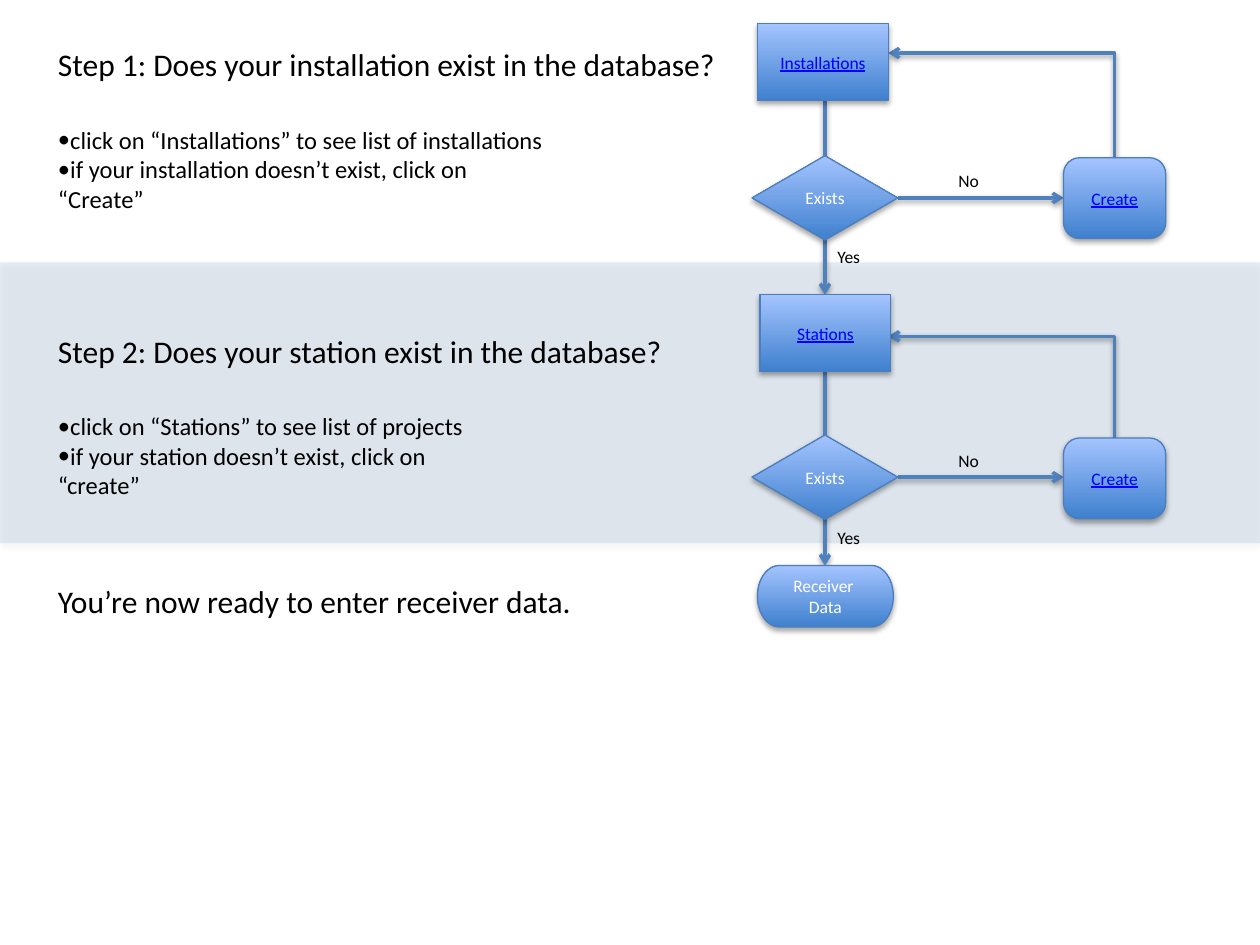
from dataclasses import dataclass

from lxml import etree
from pptx import Presentation
from pptx.dml.color import RGBColor
from pptx.enum.shapes import MSO_CONNECTOR, MSO_SHAPE
from pptx.enum.text import MSO_ANCHOR, MSO_AUTO_SIZE, PP_ALIGN
from pptx.oxml.ns import qn
from pptx.util import Cm, Pt

RECTANGLE = MSO_SHAPE.RECTANGLE
ROUNDED = MSO_SHAPE.ROUNDED_RECTANGLE
DECISION = MSO_SHAPE.FLOWCHART_DECISION
TERMINATOR = MSO_SHAPE.FLOWCHART_TERMINATOR
STRAIGHT = MSO_CONNECTOR.STRAIGHT
ELBOW = MSO_CONNECTOR.ELBOW
LEFT, CENTER = PP_ALIGN.LEFT, PP_ALIGN.CENTER
TOP, MIDDLE = MSO_ANCHOR.TOP, MSO_ANCHOR.MIDDLE
FIT_SHAPE = MSO_AUTO_SIZE.SHAPE_TO_FIT_TEXT


@dataclass(frozen=True)
class Theme:
    font: str = "Calibri"
    heading_size: int = 18
    body_size: int = 14
    label_size: int = 10
    text: str = "000000"
    light_text: str = "FFFFFF"
    link: str = "0000FF"
    accent: str = "4F81BD"
    outline: str = "4B7EBC"
    gradient: tuple = ("3F80CE", "A4C4FF")


@dataclass(frozen=True)
class Step:
    heading: str
    heading_width: float
    heading_top: float
    bullets: tuple
    bullets_width: float
    bullets_top: float
    box_text: str
    box_left: float
    box_top: float
    loop_y: float
    decision_top: float
    create_top: float
    next_top: float
    no_top: float
    yes_top: float


STEPS = (
    Step("Step 1: Does your installation exist in the database?", 13.89, 0.79,
         ("click on “Installations” to see list of installations",
          "if your installation doesn’t exist, click on “Create”"), 10.59, 2.39,
         "Installations", 15.27, 0.48, 1.07, 3.14, 3.18, 5.94, 3.3, 4.84),
    Step("Step 2: Does your station exist in the database?", 12.95, 6.56,
         ("click on “Stations” to see list of projects",
          "if your station doesn’t exist, click on “create”"), 9.68, 8.17,
         "Stations", 15.32, 5.94, 6.78, 8.77, 8.83, 11.4, 8.94, 10.49),
)
TEXT_LEFT = 0.92
BOX_WIDTH, BOX_HEIGHT = 2.64, 1.55
DECISION_LEFT, DECISION_WIDTH, DECISION_HEIGHT = 15.16, 2.94, 1.7
CREATE_LEFT, CREATE_WIDTH, CREATE_HEIGHT = 21.44, 2.06, 1.63
FLOW_X = DECISION_LEFT + DECISION_WIDTH / 2
CREATE_X = CREATE_LEFT + CREATE_WIDTH / 2


def write_text(frame, lines, *, theme, size, color, align=LEFT, anchor=TOP,
               underline=None, bullet=None, wrap=True):
    frame.word_wrap = wrap
    frame.vertical_anchor = anchor
    for index, line in enumerate(lines):
        paragraph = frame.add_paragraph() if index else frame.paragraphs[0]
        paragraph.alignment = align
        if bullet:
            properties = paragraph._p.get_or_add_pPr()
            etree.SubElement(properties, qn("a:buFont"), typeface=theme.font)
            etree.SubElement(properties, qn("a:buChar")).set("char", bullet)
        run = paragraph.add_run()
        run.text = line
        run.font.name = theme.font
        run.font.size = Pt(size)
        run.font.underline = underline
        run.font.color.rgb = RGBColor.from_string(color)


def add_shadow(shape, distance, opacity):
    effects = etree.SubElement(shape._element.spPr, qn("a:effectLst"))
    shadow = etree.SubElement(effects, qn("a:outerShdw"), blurRad="40000",
                              dist=str(distance), dir="5400000", rotWithShape="0")
    color = etree.SubElement(shadow, qn("a:srgbClr"), val="000000")
    etree.SubElement(color, qn("a:alpha"), val=str(opacity * 1000))


class FlowSlide:
    def __init__(self, slide, theme):
        self.slide = slide
        self.theme = theme

    def band(self, left, top, width, height):
        shape = self.slide.shapes.add_shape(
            RECTANGLE, Cm(left), Cm(top), Cm(width), Cm(height))
        shape.fill.solid()
        shape.fill.fore_color.rgb = RGBColor.from_string(self.theme.accent)
        color = shape._element.spPr.find(".//" + qn("a:srgbClr"))
        etree.SubElement(color, qn("a:alpha"), val="13000")
        shape.line.fill.background()
        add_shadow(shape, 23000, 35)

    def node(self, kind, lines, left, top, width, height, link=False):
        shape = self.slide.shapes.add_shape(
            kind, Cm(left), Cm(top), Cm(width), Cm(height))
        if kind == ROUNDED:
            shape.adjustments[0] = 0.2
        shape.fill.gradient()
        shape.fill.gradient_angle = 90
        for stop, color, position in zip(
                shape.fill.gradient_stops, self.theme.gradient, (0, 1)):
            stop.color.rgb = RGBColor.from_string(color)
            stop.position = position
        shape.line.color.rgb = RGBColor.from_string(self.theme.outline)
        shape.line.width = Pt(0.75)
        add_shadow(shape, 23000, 35)
        write_text(shape.text_frame, lines, theme=self.theme,
                   size=self.theme.label_size,
                   color=self.theme.link if link else self.theme.light_text,
                   align=CENTER, anchor=MIDDLE, underline=link)

    def connector(self, start, end, arrow=None, kind=STRAIGHT):
        connector = self.slide.shapes.add_connector(
            kind, *(Cm(value) for value in (*start, *end)))
        if kind == ELBOW:
            geometry = connector._element.spPr.find(qn("a:prstGeom"))
            geometry.set("prst", "bentConnector2")
        connector.line.color.rgb = RGBColor.from_string(self.theme.accent)
        connector.line.width = Pt(2)
        if arrow:
            line = connector.line._get_or_add_ln()
            etree.SubElement(line, qn(arrow), type="arrow")
        add_shadow(connector, 20000, 38)

    def text(self, lines, left, top, width, height, size, bullet=None):
        box = self.slide.shapes.add_textbox(
            Cm(left), Cm(top), Cm(width), Cm(height))
        box.text_frame.auto_size = FIT_SHAPE
        write_text(box.text_frame, lines, theme=self.theme, size=size,
                   color=self.theme.text, bullet=bullet, wrap=False)

    def heading(self, text, top, width):
        self.text([text], TEXT_LEFT, top, width, 1.02, self.theme.heading_size)

    def label(self, text, left, top, width):
        self.text([text], left, top, width, 0.68, self.theme.label_size)

    def step(self, step):
        decision_y = step.decision_top + DECISION_HEIGHT / 2
        decision_bottom = step.decision_top + DECISION_HEIGHT
        self.connector((FLOW_X, step.box_top + BOX_HEIGHT),
                       (FLOW_X, step.decision_top))
        self.connector((DECISION_LEFT + DECISION_WIDTH, decision_y),
                       (CREATE_LEFT, decision_y), "a:tailEnd")
        self.connector((FLOW_X, decision_bottom), (FLOW_X, step.next_top), "a:tailEnd")
        self.connector((17.91, step.loop_y), (CREATE_X, step.create_top),
                       "a:headEnd", ELBOW)
        self.node(DECISION, ["Exists"], DECISION_LEFT, step.decision_top,
                  DECISION_WIDTH, DECISION_HEIGHT)
        self.node(RECTANGLE, [step.box_text], step.box_left, step.box_top,
                  BOX_WIDTH, BOX_HEIGHT, link=True)
        self.node(ROUNDED, ["Create"], CREATE_LEFT, step.create_top,
                  CREATE_WIDTH, CREATE_HEIGHT, link=True)
        self.label("No", 19.07, step.no_top, 0.95)
        self.label("Yes", FLOW_X, step.yes_top, 1.1)
        self.heading(step.heading, step.heading_top, step.heading_width)
        self.text(step.bullets, TEXT_LEFT, step.bullets_top, step.bullets_width,
                  1.45, self.theme.body_size, bullet="•")


def main():
    presentation = Presentation()
    presentation.slide_width, presentation.slide_height = Cm(25.4), Cm(19.05)
    slide = presentation.slides.add_slide(presentation.slide_layouts[6])
    flow = FlowSlide(slide, Theme())
    flow.band(0, 5.29, 25.4, 5.66)
    for step in STEPS:
        flow.step(step)
    flow.node(TERMINATOR, ["Receiver ", "Data"], 15.27, STEPS[-1].next_top, 2.74, 1.24)
    flow.heading("You’re now ready to enter receiver data.", 11.61, 10.95)
    presentation.save("out.pptx")


if __name__ == "__main__":
    main()
